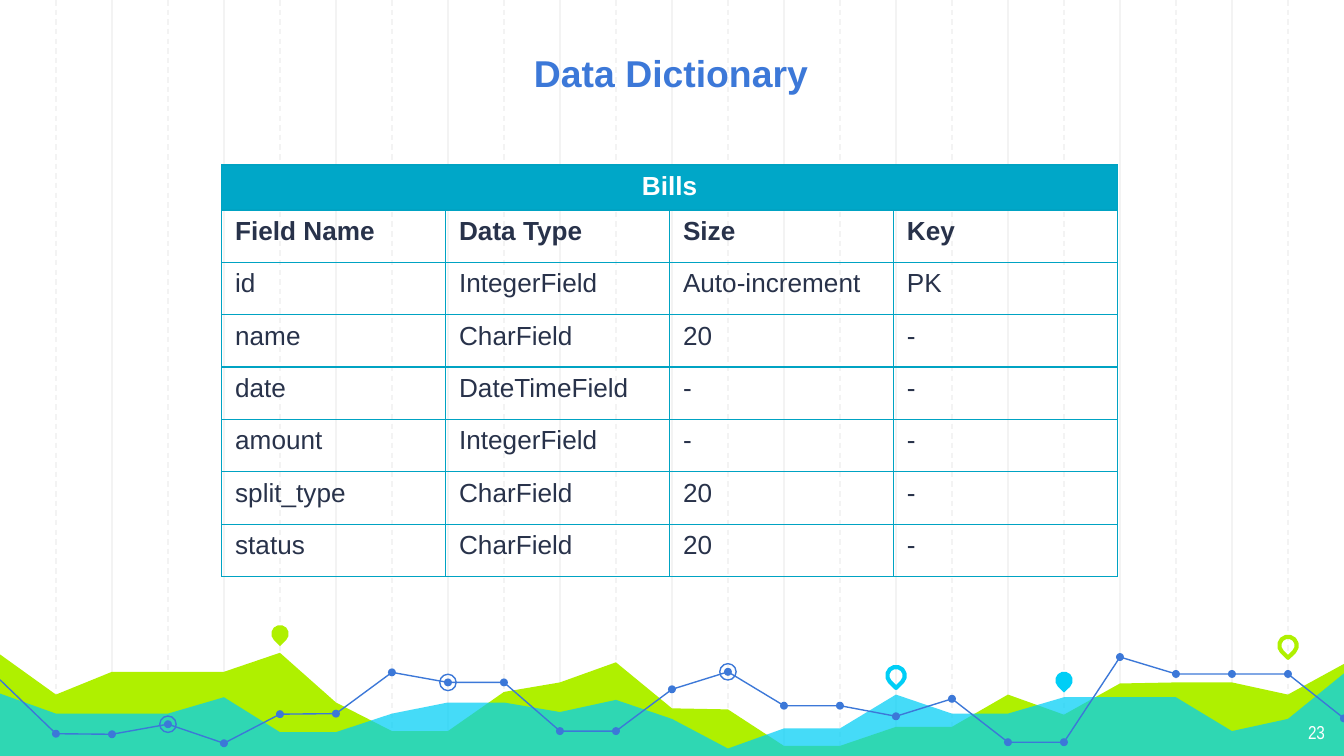
from pptx import Presentation
from pptx.dml.color import RGBColor as Rgb
from pptx.enum.dml import MSO_LINE as Dash
from pptx.enum.shapes import MSO_CONNECTOR as Conn, MSO_SHAPE as Geo
from pptx.enum.text import MSO_ANCHOR as Anchor, PP_ALIGN as Align
from pptx.oxml.ns import qn
from pptx.util import Cm, Pt
from lxml.etree import SubElement as Sub

HUE = {"grid": "F3F3F3", "lime": "AFF000", "cyan": "00CEF6", "blue": "3C78D8",
       "head": "00A7C8", "edge": "00A3C3", "ink": "28324A", "white": "FFFFFF"}
TITLE = "Data Dictionary"
PAGE = "23"
NAME = "Bills"
ROWS = [
    ("Field Name", "Data Type", "Size", "Key"),
    ("id", "IntegerField", "Auto-increment", "PK"),
    ("name", "CharField", "20", "-"),
    ("date", "DateTimeField", "-", "-"),
    ("amount", "IntegerField", "-", "-"),
    ("split_type", "CharField", "20", "-"),
    ("status", "CharField", "20", "-"),
]

WIDE, HIGH = 25.4, 14.29
STEP = WIDE / 24
AREAS = [
    ("lime", None, [12.37, 13.13, 12.7, 12.7, 12.7, 12.34, 13.28, 13.82, 13.82,
                    13.08, 12.9, 12.52, 13.39, 13.41, 14.1, 14.1, 13.74, 13.74,
                    13.13, 13.51, 12.92, 12.9, 12.9, 13.13, 12.55]),
    ("cyan", 73, [13.11, 13.49, 13.49, 13.49, 13.18, 13.84, 13.84, 13.49, 13.28,
                  13.28, 13.46, 13.23, 13.59, 14.15, 13.77, 13.77, 13.13, 13.49,
                  13.49, 13.18, 13.18, 13.18, 13.82, 13.59, 12.73]),
]
TREND = [12.85, 13.87, 13.88, 13.69, 14.05, 13.5, 13.49, 12.71, 12.9, 12.9,
         13.82, 13.82, 13.03, 12.7, 13.34, 13.34, 13.54, 13.21, 14.03, 14.03,
         12.42, 12.74, 12.74, 12.74, 13.58]
PARTS = [(0, 11), (11, 20), (20, 24)]
RINGS = [8, 3, 13]
PINS = [(5, 11.98, "lime", True), (16, 12.77, "cyan", False),
        (19, 12.86, "cyan", True), (23, 12.2, "lime", False)]
DOT, RING, PIN = 0.15, 0.31, 0.33

deck = Presentation()
deck.slide_width, deck.slide_height = Cm(WIDE), Cm(HIGH)
slide = deck.slides.add_slide(deck.slide_layouts[6])
shapes = slide.shapes


def tint(name):
    return Rgb.from_string(HUE[name])


def put(thing, vals):
    for key, val in vals.items():
        setattr(thing, key, val)


def paint(shape, fill=None, line=None, width=0.75):
    shape.shadow.inherit = False
    for part, hue in ((shape.fill, fill), (shape.line.fill, line)):
        if hue:
            part.solid()
            part.fore_color.rgb = tint(hue)
        else:
            part.background()
    if line:
        shape.line.width = Pt(width)


def trace(spots, close):
    spots = [(Cm(x), Cm(y)) for x, y in spots]
    form = shapes.build_freeform(*spots[0])
    form.add_line_segments(spots[1:], close=close)
    return form.convert_to_shape()


def mark(geo, x, y, size):
    return shapes.add_shape(geo, Cm(x - size / 2), Cm(y - size / 2), Cm(size), Cm(size))


def write(frame, text, align, font, hue):
    para = frame.paragraphs[0]
    para.alignment = align
    run = para.add_run()
    run.text = text
    put(run.font, font)
    run.font.color.rgb = tint(hue)


def label(box, text, align, anchor, font, hue):
    frame = shapes.add_textbox(*map(Cm, box)).text_frame
    pads = {"margin_" + side: Cm(0.25) for side in ("left", "right", "top", "bottom")}
    put(frame, {"word_wrap": True, "vertical_anchor": anchor, **pads})
    write(frame, text, align, font, hue)


def frame_cell(cell):
    props = cell._tc.get_or_add_tcPr()
    for spot, tag in enumerate(("a:lnL", "a:lnR", "a:lnT", "a:lnB")):
        line = props.makeelement(qn(tag), {"w": str(Pt(0.75))})
        Sub(Sub(line, qn("a:solidFill")), qn("a:srgbClr"), val=HUE["edge"])
        props.insert(spot, line)


for first, dash in ((2, Dash.SOLID), (1, Dash.DASH)):
    for i in range(first, 24, 2):
        rule = shapes.add_connector(Conn.STRAIGHT, Cm(i * STEP), 0, Cm(i * STEP), Cm(HIGH))
        Sub(rule._element.spPr, qn("a:effectLst"))
        put(rule.line, {"width": Pt(0.75), "dash_style": dash})
        rule.line.color.rgb = tint("grid")

for hue, alpha, tops in AREAS:
    spots = [(i * STEP, y) for i, y in enumerate(tops)]
    area = trace(spots + [(WIDE, HIGH), (0, HIGH)], True)
    paint(area, fill=hue)
    if alpha:
        color = area._element.spPr.find(".//" + qn("a:srgbClr"))
        Sub(color, qn("a:alpha"), val=str(alpha * 1000))

for i, y, hue, full in PINS:
    pin = mark(Geo.TEAR, i * STEP, y, PIN)
    pin.rotation = 135
    paint(pin, **({"fill": hue} if full else {"line": hue, "width": 2.25}))

for start, end in PARTS:
    paint(trace([(i * STEP, TREND[i]) for i in range(start, end + 1)], False), line="blue")
for i, y in enumerate(TREND[1:], 1):
    paint(mark(Geo.OVAL, i * STEP, y, DOT), fill="blue")
for i in RINGS:
    paint(mark(Geo.OVAL, i * STEP, TREND[i], RING), line="blue")

label((23.77, 13.41, 1.52, 0.89), PAGE, Align.RIGHT, Anchor.TOP,
      {"name": "Arial Narrow", "size": Pt(10)}, "white")

tall = [0.81] + [0.99] * len(ROWS)
grid = shapes.add_table(len(tall), 4, Cm(4.19), Cm(3.12), Cm(16.93), Cm(sum(tall))).table
put(grid, {"first_row": False, "horz_banding": False})
for row, size in zip(grid.rows, tall):
    row.height = Cm(size)
for col in grid.columns:
    col.width = Cm(16.93 / 4)
for r, texts in enumerate([(NAME, "", "", "")] + ROWS):
    for c, text in enumerate(texts):
        cell = grid.cell(r, c)
        if r:
            cell.fill.background()
        else:
            cell.fill.solid()
            cell.fill.fore_color.rgb = tint("head")
        frame_cell(cell)
        if text:
            write(cell.text_frame, text, Align.LEFT if r else Align.CENTER,
                  {"name": "Arial", "size": Pt(14), "bold": r < 2}, "ink" if r else "white")
grid.cell(0, 0).merge(grid.cell(0, 3))

label((2.97, 0.91, 19.43, 1.14), TITLE, Align.CENTER, Anchor.BOTTOM,
      {"name": "Arial", "size": Pt(20), "bold": True}, "blue")

deck.save("out.pptx")
